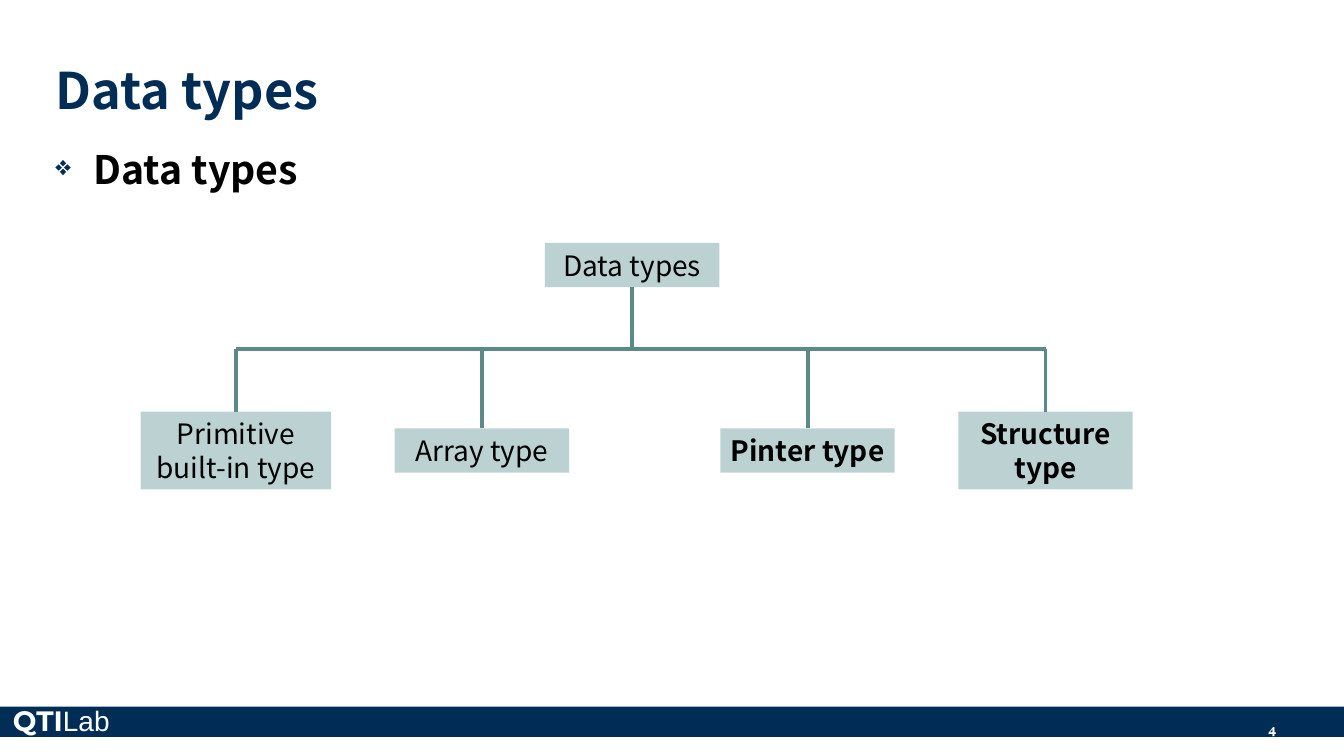
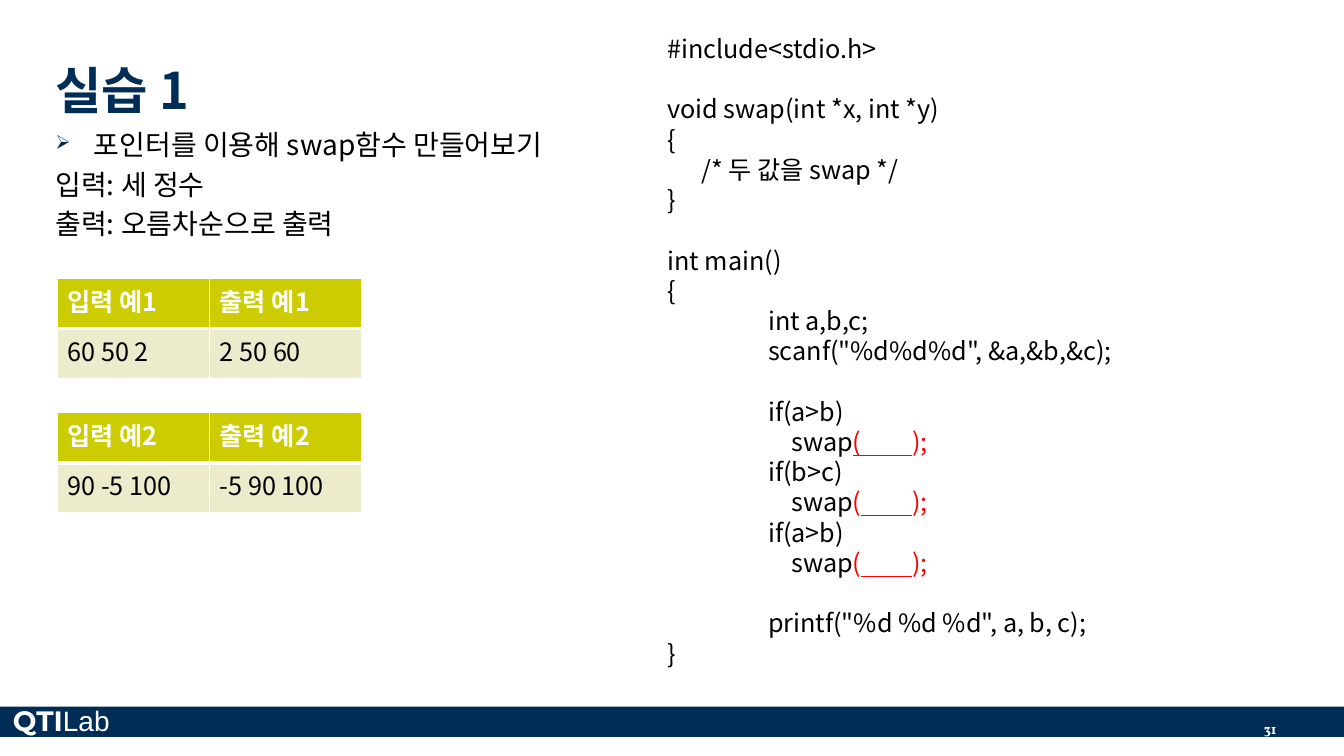
from dataclasses import dataclass

from lxml import etree
from pptx import Presentation
from pptx.dml.color import RGBColor
from pptx.enum.shapes import MSO_CONNECTOR, MSO_SHAPE
from pptx.enum.text import MSO_ANCHOR, PP_ALIGN
from pptx.oxml.ns import qn
from pptx.util import Inches, Pt

RECTANGLE = MSO_SHAPE.RECTANGLE
STRAIGHT = MSO_CONNECTOR.STRAIGHT
TOP, MIDDLE, BOTTOM = MSO_ANCHOR.TOP, MSO_ANCHOR.MIDDLE, MSO_ANCHOR.BOTTOM
LEFT, CENTER, RIGHT = PP_ALIGN.LEFT, PP_ALIGN.CENTER, PP_ALIGN.RIGHT
TOP_SIDE, BOTTOM_SIDE = 0, 2


@dataclass(frozen=True)
class Theme:
    navy: str = "002D56"
    black: str = "000000"
    white: str = "FFFFFF"
    red: str = "FF0000"
    node: str = "BCD2D2"
    line: str = "5C8A8A"
    header: str = "CCCC00"
    cell: str = "ECECCC"
    font: str = "Noto Sans CJK KR"
    brand_font: str = "Montserrat"
    plain_font: str = "Arial"
    number_font: str = "Vollkorn"
    title_size: int = 36
    heading_size: int = 28
    text_size: int = 20
    code_size: int = 18
    number_size: int = 10
    line_height: float = 1.2
    line_width: float = 2.75


class Deck:
    def __init__(self, theme):
        self.theme = theme
        self.presentation = Presentation()
        self.presentation.slide_width = Inches(13.33)
        self.presentation.slide_height = Inches(7.5)
        self.page = None

    def start_page(self, title, number):
        theme = self.theme
        self.page = self.presentation.slides.add_slide(self.presentation.slide_layouts[6])
        self.rectangle(0, 7.01, 13.33, 0.3, theme.navy)
        brand = self.text_box(0.03, 6.93, 1.52, 0.44).paragraphs[0]
        self.span(brand, "QTI", theme.text_size, theme.white, True, theme.brand_font)
        self.span(brand, "Lab", theme.text_size, theme.white, False, theme.plain_font)
        footer = self.text_box(12.06, 7.1, 0.7, 0.28).paragraphs[0]
        footer.alignment = RIGHT
        self.span(footer, number, theme.number_size, theme.white, True, theme.number_font)
        frame = self.text_box(0.45, 0.13, 11.12, 1.08, BOTTOM)
        frame.margin_bottom = Inches(0.02)
        para = self.para(frame, theme.title_size)
        self.span(para, title, theme.title_size, theme.navy, True)

    def rectangle(self, left, top, width, height, color):
        box = self.page.shapes.add_shape(
            RECTANGLE, Inches(left), Inches(top), Inches(width), Inches(height))
        box.shadow.inherit = False
        box.fill.solid()
        box.fill.fore_color.rgb = RGBColor.from_string(color)
        box.line.fill.background()
        return box

    def text_box(self, left, top, width, height, anchor=TOP):
        box = self.page.shapes.add_textbox(
            Inches(left), Inches(top), Inches(width), Inches(height))
        frame = box.text_frame
        frame.word_wrap = True
        frame.vertical_anchor = anchor
        return frame

    def para(self, frame, size, align=LEFT, before=0, indent=0):
        first = frame.paragraphs[0]
        para = frame.add_paragraph() if first.runs else first
        para.alignment = align
        para.line_spacing = Pt(size * self.theme.line_height)
        para.space_before = Pt(before)
        if indent:
            para._p.get_or_add_pPr().set("marL", str(Inches(indent)))
        return para

    def span(self, para, text, size, color, bold=False, font=None, underline=False):
        run = para.add_run()
        run.text = text
        style = run.font
        style.name = font or self.theme.font
        style.size = Pt(size)
        style.bold = bold
        style.underline = underline
        style.color.rgb = RGBColor.from_string(color)
        latin = run._r.get_or_add_rPr().find(qn("a:latin"))
        east_asian = etree.Element(qn("a:ea"), typeface=style.name)
        latin.addnext(east_asian)

    def bullet(self, para, symbol):
        properties = para._p.get_or_add_pPr()
        properties.set("marL", str(Inches(0.38)))
        properties.set("indent", str(Inches(-0.38)))
        color = etree.SubElement(properties, qn("a:buClr"))
        etree.SubElement(color, qn("a:srgbClr"), val=self.theme.navy)
        etree.SubElement(properties, qn("a:buSzPct"), val="70000")
        etree.SubElement(properties, qn("a:buChar"), char=symbol)

    def body(self, top, width, height, symbol, lines, size, bold=False):
        frame = self.text_box(0.45, top, width, height)
        for index, line in enumerate(lines):
            para = self.para(frame, size, before=size * 0.2)
            if index == 0:
                self.bullet(para, symbol)
            self.span(para, line, size, self.theme.black, bold)

    def node(self, text, center, middle, width, height, bold=False):
        box = self.rectangle(center - width / 2, middle - height / 2,
                             width, height, self.theme.node)
        frame = box.text_frame
        frame.word_wrap = True
        frame.vertical_anchor = MIDDLE
        frame.margin_left = frame.margin_right = Inches(0.05)
        para = self.para(frame, self.theme.text_size, CENTER)
        self.span(para, text, self.theme.text_size, self.theme.black, bold)
        return box

    def line(self, start, end):
        connector = self.page.shapes.add_connector(
            STRAIGHT, *(Inches(value) for value in (*start, *end)))
        connector.line.color.rgb = RGBColor.from_string(self.theme.line)
        connector.line.width = Pt(self.theme.line_width)
        etree.SubElement(connector._element.spPr, qn("a:effectLst"))
        return connector

    def border(self, cell, side, width):
        properties = cell._tc.get_or_add_tcPr()
        edge = etree.SubElement(properties, qn("a:ln" + side), w=str(Pt(width)))
        fill = etree.SubElement(edge, qn("a:solidFill"))
        etree.SubElement(fill, qn("a:srgbClr"), val=self.theme.white)

    def table(self, left, top, rows):
        theme = self.theme
        column_width, row_height = 1.51, 0.5
        columns = len(rows[0])
        table = self.page.shapes.add_table(
            len(rows), columns, Inches(left), Inches(top),
            Inches(column_width * columns), Inches(row_height * len(rows))).table
        for row_index, row in enumerate(rows):
            is_header = row_index == 0
            widths = {"L": 1, "R": 1, "T": 1 if is_header else 3, "B": 3 if is_header else 1}
            for column_index, text in enumerate(row):
                cell = table.cell(row_index, column_index)
                cell.vertical_anchor = MIDDLE
                for side, width in widths.items():
                    self.border(cell, side, width)
                cell.fill.solid()
                cell.fill.fore_color.rgb = RGBColor.from_string(
                    theme.header if is_header else theme.cell)
                para = self.para(cell.text_frame, theme.code_size)
                self.span(para, text, theme.code_size,
                          theme.white if is_header else theme.black, is_header)

    def code(self, left, top, width, height, blocks):
        theme = self.theme
        frame = self.text_box(left, top, width, height)
        for block_index, block in enumerate(blocks):
            for line_index, (indent, *parts) in enumerate(block):
                starts_block = block_index > 0 and line_index == 0
                gap = theme.code_size * theme.line_height if starts_block else 0
                para = self.para(frame, theme.code_size, before=gap, indent=indent)
                for part_index, (text, underline) in enumerate(parts):
                    color = theme.red if part_index else theme.black
                    self.span(para, text, theme.code_size, color, underline=underline)


def data_types_page(deck):
    deck.start_page("Data types", "4")
    deck.body(1.39, 12.37, 5.28, "❖", ["Data types"], deck.theme.heading_size, True)
    root_center, bus, middle = 6.27, 3.46, 4.47
    leaves = [
        ("Primitive built-in type", 2.34, 1.89, 0.77, False),
        ("Array type", 4.78, 1.73, 0.44, False),
        ("Pinter type", 8.01, 1.73, 0.44, True),
        ("Structure type", 10.37, 1.73, 0.77, True),
    ]
    root = deck.node("Data types", root_center, 2.63, 1.73, 0.44)
    deck.line((root_center, 2.85), (root_center, bus)).begin_connect(root, BOTTOM_SIDE)
    deck.line((leaves[0][1], bus), (leaves[-1][1], bus))
    for text, center, width, height, bold in leaves:
        leaf = deck.node(text, center, middle, width, height, bold)
        drop = deck.line((center, bus), (center, middle - height / 2))
        drop.end_connect(leaf, TOP_SIDE)


def practice_page(deck):
    deck.start_page("실습 1", "31")
    deck.body(1.22, 12.19, 5.45, "➢", [
        "포인터를 이용해 swap함수 만들어보기",
        "입력: 세 정수",
        "출력: 오름차순으로 출력",
    ], deck.theme.text_size)
    examples = [("60 50 2", "2 50 60"), ("90 -5 100", "-5 90 100")]
    for index, example in enumerate(examples):
        headers = (f"입력 예{index + 1}", f"출력 예{index + 1}")
        deck.table(0.57, 2.76 + 1.33 * index, [headers, example])

    def plain(text, indent=0):
        return indent, (text, False)

    def swap_call(*blank):
        return 1.23, ("swap", False), *blank, (");", False)

    underlined = " " * 9
    split_blank = (("(", False), (underlined, True))
    deck.code(6.52, 0.28, 5.39, 6.46, [
        [plain("#include<stdio.h>")],
        [plain("void swap(int *x, int *y)"), plain("{"),
         plain("/* 두 값을 swap */", 0.34), plain("}")],
        [plain("int main()"), plain("{"), plain("int a,b,c;", 1),
         plain('scanf("%d%d%d", &a,&b,&c);', 1)],
        [plain("if(a>b)", 1), swap_call(("(" + underlined, True)),
         plain("if(b>c)", 1), swap_call(*split_blank),
         plain("if(a>b)", 1), swap_call(*split_blank)],
        [plain('printf("%d %d %d", a, b, c);', 1), plain("}")],
    ])


def main():
    deck = Deck(Theme())
    data_types_page(deck)
    practice_page(deck)
    deck.presentation.save("out.pptx")


if __name__ == "__main__":
    main()
